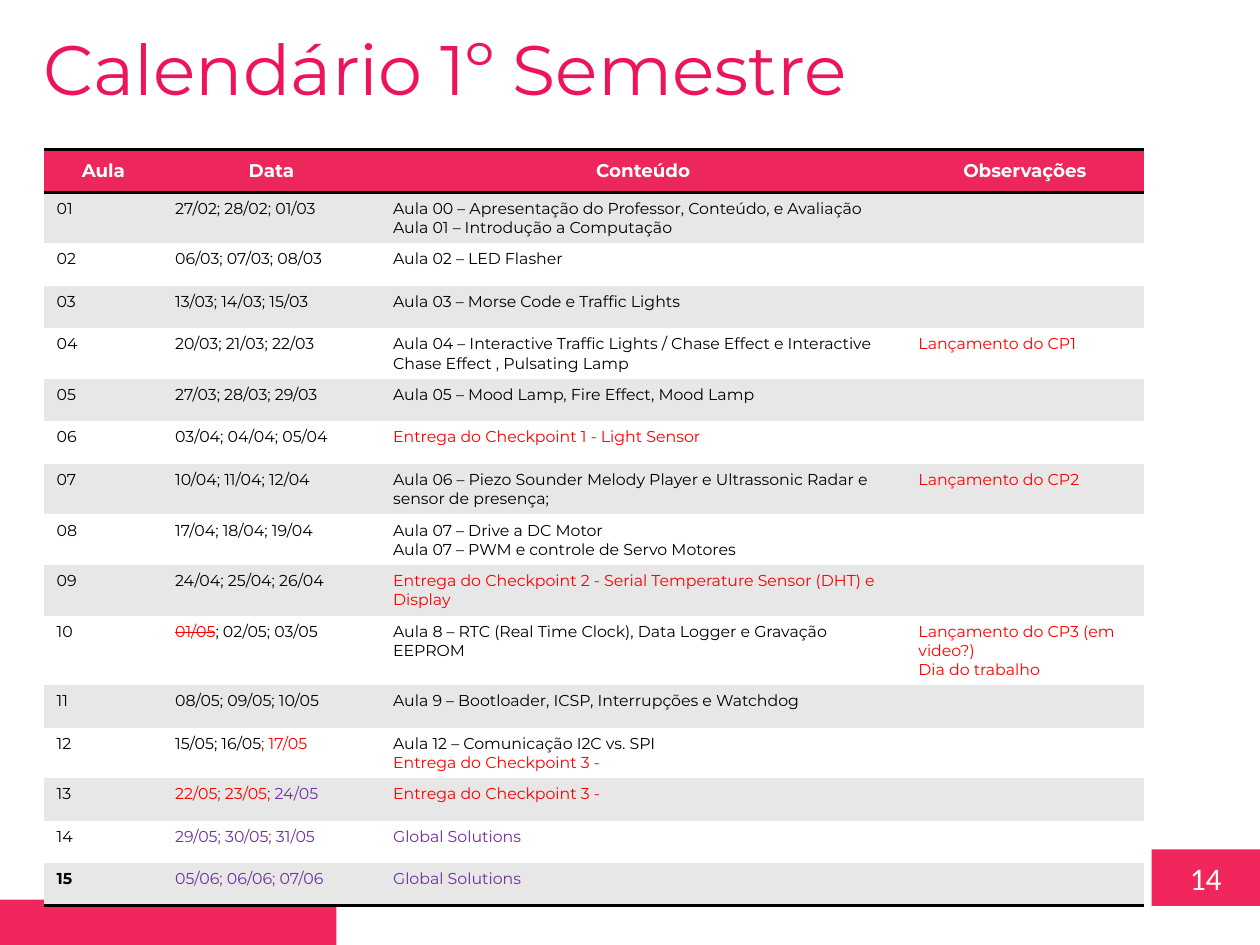
from lxml.etree import SubElement
from pptx import Presentation
from pptx.dml.color import RGBColor
from pptx.enum.shapes import MSO_SHAPE
from pptx.enum.text import MSO_ANCHOR, PP_ALIGN
from pptx.oxml.ns import qn
from pptx.util import Inches, Pt

COLORS = {
    "bar": "F0265D", "title": "ED145B", "header": "ED265B",
    "band": "E7E7E7", "white": "FFFFFF", "black": "000000",
    "red": "FF0000", "dark_red": "C00000", "purple": "7030A0",
}
FONT = "Montserrat"

# The slide is a grid of 100 columns by 75 rows
SLIDE_WIDTH, SLIDE_HEIGHT = Inches(10), Inches(7.5)
COLUMN, ROW = SLIDE_WIDTH / 100, SLIDE_HEIGHT / 75
COLUMN_WIDTHS = [9.4, 17.3, 41.7, 18.9]
ROW_HEIGHT = 3.38

HEADERS = ["Aula", "Data", "Conteúdo", "Observações"]


def red(text):
    return text, "red"


def purple(text):
    return text, "purple"


# Each class: dates (runs), content (paragraphs), remarks (paragraphs)
CLASSES = [
    (["27/02; 28/02; 01/03"],
     ["Aula 00 – Apresentação do Professor, Conteúdo, e Avaliação",
      "Aula 01 – Introdução a Computação"], []),
    (["06/03; 07/03; 08/03"], ["Aula 02 – LED Flasher"], []),
    (["13/03; 14/03; 15/03"], ["Aula 03 – Morse Code e Traffic Lights"], []),
    (["20/03; 21/03; 22/03"],
     ["Aula 04 – Interactive Traffic Lights / Chase Effect e Interactive "
      "Chase Effect , Pulsating Lamp"], [red("Lançamento do CP1")]),
    (["27/03; 28/03; 29/03"], ["Aula 05 – Mood Lamp, Fire Effect, Mood Lamp"], []),
    (["03/04; 04/04; 05/04"], [red("Entrega do Checkpoint 1 - Light Sensor")], []),
    (["10/04; 11/04; 12/04"],
     ["Aula 06 – Piezo Sounder Melody Player e Ultrassonic Radar e "
      "sensor de presença;"], [red("Lançamento do CP2")]),
    (["17/04; 18/04; 19/04"],
     ["Aula 07 – Drive a DC Motor", "Aula 07 – PWM e controle de Servo Motores"], []),
    (["24/04; 25/04; 26/04"],
     [red("Entrega do Checkpoint 2 - Serial Temperature Sensor (DHT) e Display")], []),
    ([("01/05", "red", "strike"), "; 02/05; 03/05"],
     ["Aula 8 – RTC (Real Time Clock), Data Logger e Gravação EEPROM"],
     [red("Lançamento do CP3 (em video?)"), red("Dia do trabalho")]),
    (["08/05; 09/05; 10/05"],
     ["Aula 9 – Bootloader, ICSP, Interrupções e Watchdog"], []),
    (["15/05; 16/05", ("; ", "dark_red"), red("17/05")],
     ["Aula 12 – Comunicação I2C vs. SPI", red("Entrega do Checkpoint 3 -")], []),
    ([red("22/05; 23/05; "), purple("24/05")], [red("Entrega do Checkpoint 3 -")], []),
    ([purple("29/05; 30/05; 31/05")], [purple("Global Solutions")], []),
    ([purple("05/06; 06/06; 07/06")], [purple("Global Solutions")], []),
]


def grid_box(left, top, width, height):
    return (round(left * COLUMN), round(top * ROW),
            round(width * COLUMN), round(height * ROW))


def color(name):
    return RGBColor.from_string(COLORS[name])


def add_run(paragraph, text, size, color_name, font=FONT, bold=False, strike=False):
    run = paragraph.add_run()
    run.text = text
    run.font.name = font
    run.font.size = Pt(size)
    run.font.bold = bold
    run.font.color.rgb = color(color_name)
    if strike:
        run._r.get_or_add_rPr().set("strike", "sngStrike")


def add_bar(slide, box):
    shape = slide.shapes.add_shape(MSO_SHAPE.RECTANGLE, *box)
    shape.shadow.inherit = False
    shape.fill.solid()
    shape.fill.fore_color.rgb = color("bar")
    shape.line.fill.background()
    return shape


def add_page_number(slide, box, number):
    frame = add_bar(slide, box).text_frame
    frame.vertical_anchor = MSO_ANCHOR.MIDDLE
    paragraph = frame.paragraphs[0]
    paragraph.alignment = PP_ALIGN.CENTER
    add_run(paragraph, number, 18, "white", font="Calibri")


def add_title(slide, box, text):
    frame = slide.shapes.add_textbox(*box).text_frame
    frame.word_wrap = True
    add_run(frame.paragraphs[0], text, 40, "title")


def add_border(cell, side):
    line = SubElement(cell._tc.get_or_add_tcPr(), qn(f"a:ln{side}"), w=str(Pt(2)))
    fill = SubElement(line, qn("a:solidFill"))
    SubElement(fill, qn("a:srgbClr"), val=COLORS["black"])


def style_cell(cell, fill_name, border_sides):
    # Borders come before the fill in the cell properties
    for side in border_sides:
        add_border(cell, side)
    cell.fill.solid()
    cell.fill.fore_color.rgb = color(fill_name)


def fill_cell(cell, paragraphs, bold=False):
    frame = cell.text_frame
    if not paragraphs:
        frame.paragraphs[0].font.size = Pt(9)
    for index, runs in enumerate(paragraphs):
        paragraph = frame.add_paragraph() if index else frame.paragraphs[0]
        for run in runs:
            text, color_name, *marks = (run, "black") if isinstance(run, str) else run
            add_run(paragraph, text, 9, color_name, bold=bold, strike="strike" in marks)


def add_calendar(slide, box):
    graphic = slide.shapes.add_table(len(CLASSES) + 1, len(HEADERS), *box)
    table = graphic.table
    table.first_row = table.horz_banding = False
    # "No style, no grid" keeps the cells free of inner lines
    style = graphic._element.find(".//" + qn("a:tableStyleId"))
    style.text = "{2D5ABB26-0587-4C30-8999-92F81FD0307C}"
    for column, width in zip(table.columns, COLUMN_WIDTHS):
        column.width = round(width * COLUMN)
    for row in table.rows:
        row.height = round(ROW_HEIGHT * ROW)

    # Header row
    for index, text in enumerate(HEADERS):
        cell = table.cell(0, index)
        style_cell(cell, "header", "TB")
        cell.vertical_anchor = MSO_ANCHOR.MIDDLE
        paragraph = cell.text_frame.paragraphs[0]
        paragraph.alignment = PP_ALIGN.CENTER
        add_run(paragraph, text, 10.5, "white", bold=True)

    # One banded row for each class
    for number, (dates, content, remarks) in enumerate(CLASSES, start=1):
        is_last = number == len(CLASSES)
        cells = [[[f"{number:02}"]], [dates],
                 [[line] for line in content], [[line] for line in remarks]]
        for index, paragraphs in enumerate(cells):
            cell = table.cell(number, index)
            style_cell(cell, "band" if number % 2 else "white", "B" if is_last else "")
            fill_cell(cell, paragraphs, bold=is_last and index == 0)


def main():
    presentation = Presentation()
    presentation.slide_width, presentation.slide_height = SLIDE_WIDTH, SLIDE_HEIGHT
    slide = presentation.slides.add_slide(presentation.slide_layouts[6])

    add_page_number(slide, grid_box(91.4, 67.4, 8.6, 4.5), "14")
    add_bar(slide, grid_box(0, 71.4, 26.7, 3.6))
    add_title(slide, grid_box(2.5, 1.5, 69.2, 7.7), "Calendário 1º Semestre")
    add_calendar(slide, grid_box(3.5, 11.9, sum(COLUMN_WIDTHS),
                                 ROW_HEIGHT * (len(CLASSES) + 1)))
    presentation.save("out.pptx")


if __name__ == "__main__":
    main()
